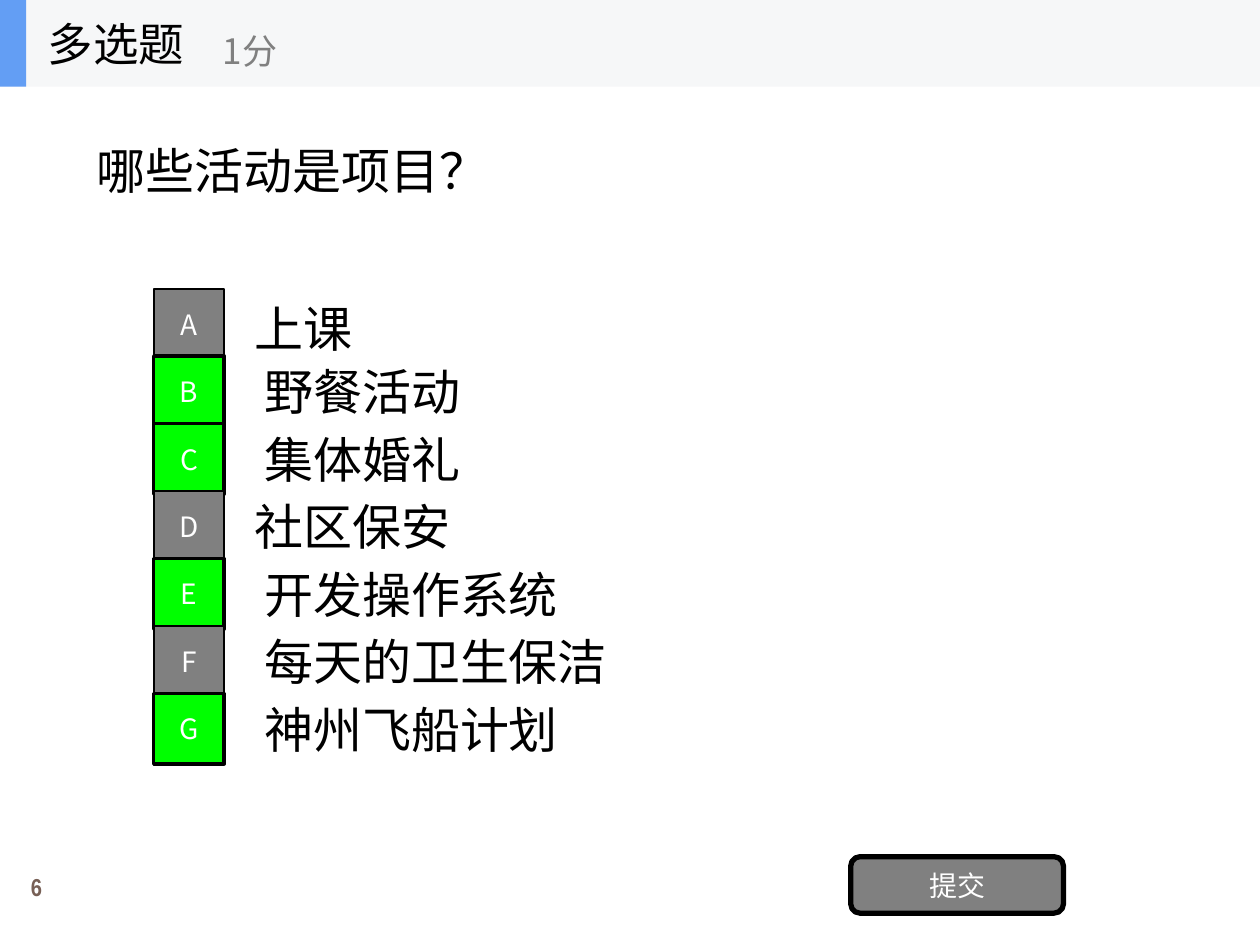
import pptx
import pptx.dml.color
import pptx.enum.shapes
import pptx.enum.text
import pptx.oxml.ns
import pptx.util
import lxml.etree

Cm = pptx.util.Cm
SHAPES = pptx.enum.shapes.MSO_SHAPE
ALIGN = pptx.enum.text.PP_ALIGN
SC = "Noto Sans CJK SC"
JP = "Noto Sans CJK JP"
BLACK, WHITE, GREY, GREEN = "000000", "FFFFFF", "808080", "00FF00"

ACTIVITIES = [
    ("A", "上课", False, 1.78, -0.1),
    ("B", "野餐活动", True, 1.99, -0.18),
    ("C", "集体婚礼", True, 1.98, -0.18),
    ("D", "社区保安", False, 1.79, -0.18),
    ("E", "开发操作系统", True, 1.98, -0.18),
    ("F", "每天的卫生保洁", False, 1.98, -0.18),
    ("G", "神州飞船计划", True, 1.98, -0.18),
]


def color(hex_string):
    return pptx.dml.color.RGBColor.from_string(hex_string)


def write(shape, words, size, ink, font=SC, align=ALIGN.LEFT, bold=False):
    frame = shape.text_frame
    frame.word_wrap = True
    frame.auto_size = pptx.enum.text.MSO_AUTO_SIZE.NONE
    frame.vertical_anchor = pptx.enum.text.MSO_ANCHOR.MIDDLE
    paragraph = frame.paragraphs[0]
    paragraph.alignment = align
    run = paragraph.add_run()
    run.text = words
    run.font.size = pptx.util.Pt(size)
    run.font.bold = bold
    run.font.color.rgb = color(ink)
    run.font.name = font
    east_asian = lxml.etree.SubElement(
        run.font._element, pptx.oxml.ns.qn("a:ea"))
    east_asian.set("typeface", font)


def add_label(slide, left, top, width, height, *args, **style):
    label = slide.shapes.add_textbox(
        Cm(left), Cm(top), Cm(width), Cm(height))
    write(label, *args, **style)


def add_block(slide, kind, left, top, width, height, fill, line_width=0):
    block = slide.shapes.add_shape(
        kind, Cm(left), Cm(top), Cm(width), Cm(height))
    block.shadow.inherit = False
    block.fill.solid()
    block.fill.fore_color.rgb = color(fill)
    if line_width:
        block.line.color.rgb = color(BLACK)
        block.line.width = pptx.util.Pt(line_width)
    else:
        block.line.fill.background()
    return block


def place_question(slide, left, top, width, height):
    question = slide.shapes.title
    question.left, question.top = Cm(left), Cm(top)
    question.width, question.height = Cm(width), Cm(height)
    write(question, "哪些活动是项目？", 28, BLACK)


def place_activities(slide, left, top, pitch, badge_size):
    for row, (letter, activity, correct, indent, rise) in enumerate(ACTIVITIES):
        row_top = top + row * pitch
        add_label(slide, left + indent, row_top + rise, 17.78, 1.78,
                  activity, 28, BLACK, font=JP)
        badge = add_block(slide, SHAPES.RECTANGLE, left, row_top,
                          badge_size, badge_size,
                          GREEN if correct else GREY, 2 if correct else 1)
        write(badge, letter, 16, WHITE, align=ALIGN.CENTER)


def place_header(slide, left, top, width, height):
    add_block(slide, SHAPES.RECTANGLE, left, top, width, height, "F6F7F8")
    add_block(slide, SHAPES.RECTANGLE, left, top, 0.53, height, "639EF4")
    add_label(slide, left + 0.71, top, 5.28, height, "多选题", 26, BLACK)
    add_label(slide, left + 4.24, top + 0.3, 6.35, 1.42, "1分", 20, GREY)


def place_footer(slide, left, top, width, height):
    add_label(slide, left, top + 0.08, 1.47, 1.07, "6", 14, "775F55",
              font="Arial Narrow", align=ALIGN.CENTER, bold=True)
    submit = add_block(slide, SHAPES.ROUNDED_RECTANGLE, left + width - 4.29,
                       top, 4.29, height, GREY, 3)
    write(submit, "提交", 16, WHITE, align=ALIGN.CENTER)


def main():
    deck = pptx.Presentation()
    deck.slide_width, deck.slide_height = Cm(25.4), Cm(19.05)
    slide = deck.slides.add_slide(deck.slide_layouts[5])
    place_question(slide, 1.7, 2.44, 20.32, 1.98)
    place_activities(slide, 3.1, 5.82, 1.36, 1.42)
    place_header(slide, 0, 0, 25.4, 1.75)
    place_footer(slide, 0, 17.27, 21.44, 1.14)
    deck.save("out.pptx")


if __name__ == "__main__":
    main()
